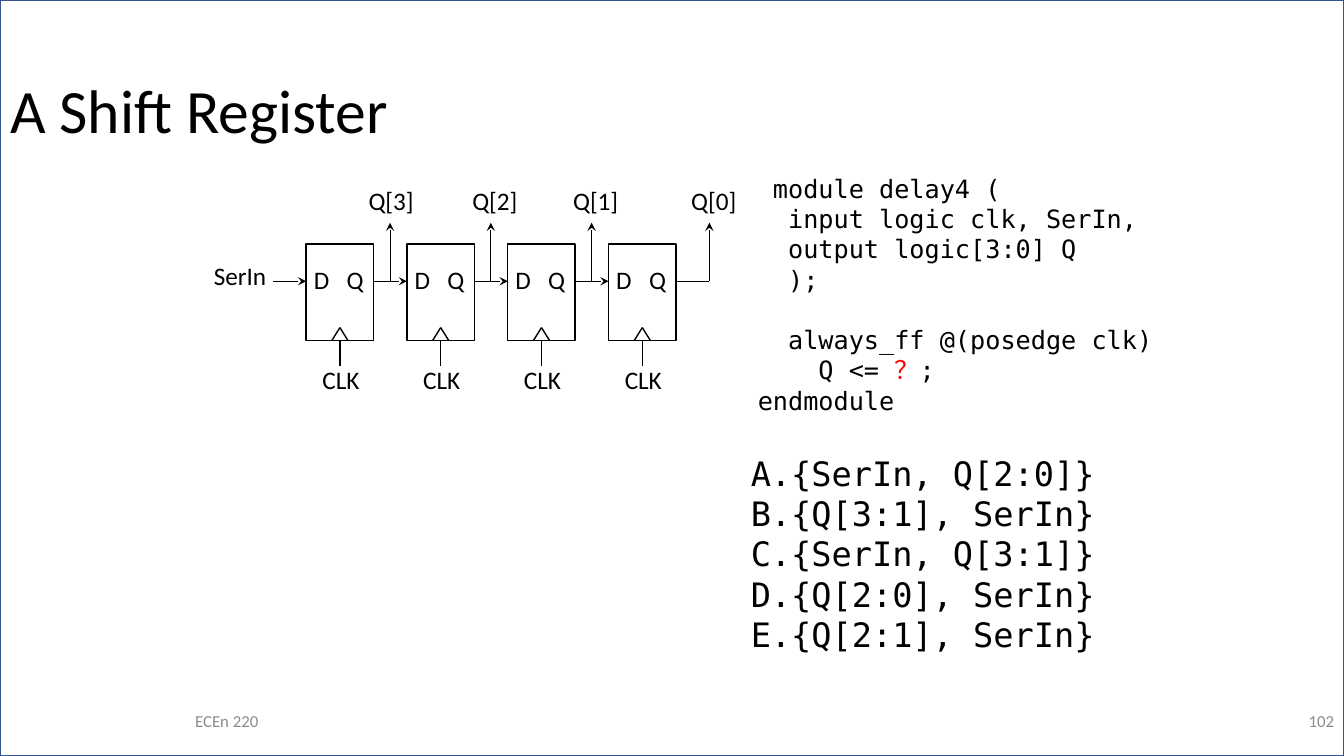
import dataclasses

import lxml.etree
import pptx
import pptx.dml.color
import pptx.enum.shapes
import pptx.enum.text
import pptx.oxml.ns
import pptx.util

Pt = pptx.util.Pt
Align = pptx.enum.text.PP_ALIGN
Anchor = pptx.enum.text.MSO_ANCHOR
qn = pptx.oxml.ns.qn


@dataclasses.dataclass(frozen=True)
class Theme:
    ink: str = "000000"
    paper: str = "FFFFFF"
    muted: str = "8C8C8C"
    accent: str = "FF0000"
    border: str = "325491"
    sans: str = "Calibri"
    mono: str = "DejaVu Sans Mono"
    title: float = 44
    choice: float = 24
    body: float = 18
    footer: float = 12
    outline: float = 1
    arrow: float = 0.75


THEME = Theme()

# Flip-flop geometry, in points
FLOP_LEFT, FLOP_TOP, FLOP_WIDTH, FLOP_HEIGHT = 218.7, 174.2, 48.2, 69.1
FLOP_PITCH = 72
FLOP_BOTTOM = FLOP_TOP + FLOP_HEIGHT
WIRE_GAP = FLOP_PITCH - FLOP_WIDTH
WIRE_Y = 200.9
TAP_TOP = 159.1
CODE_LINE = 21.6

# Output name, x of its tap, left edge of its label
OUTPUTS = [("Q[3]", 278.6, 254.9), ("Q[2]", 350.6, 329),
           ("Q[1]", 422.6, 401), ("Q[0]", 506.7, 485.3)]

CODE = [
    [(" module delay4 (", THEME.ink)],
    [("  input logic clk, SerIn,", THEME.ink)],
    [("  output logic[3:0] Q", THEME.ink)],
    [("  );", THEME.ink)],
    [("  always_ff @(posedge clk)", THEME.ink)],
    [("    Q <= ", THEME.ink), ("？", THEME.accent), (";", THEME.ink)],
    [("endmodule", THEME.ink)],
]

CHOICES = ["{SerIn, Q[2:0]}", "{Q[3:1], SerIn}", "{SerIn, Q[3:1]}",
           "{Q[2:0], SerIn}", "{Q[2:1], SerIn}"]


def rgb(value):
    return pptx.dml.color.RGBColor.from_string(value)


def add_span(para, text, size, font=THEME.sans, color=THEME.ink):
    span = para.add_run()
    span.text = text
    span.font.name = font
    span.font.size = Pt(size)
    span.font.color.rgb = rgb(color)


def add_box(page, left, top, width, height, wrap=False):
    box = page.shapes.add_textbox(Pt(left), Pt(top), Pt(width), Pt(height))
    box.text_frame.word_wrap = wrap
    return box.text_frame


def next_para(frame, index):
    return frame.add_paragraph() if index else frame.paragraphs[0]


def add_label(page, text, left, top, width, align=Align.CENTER):
    para = add_box(page, left, top, width, 28.8).paragraphs[0]
    para.alignment = align
    add_span(para, text, THEME.body)


def add_footer(page, text, left, width, align):
    frame = add_box(page, left, 500.4, width, 28.8, wrap=True)
    frame.vertical_anchor = Anchor.MIDDLE
    frame.paragraphs[0].alignment = align
    add_span(frame.paragraphs[0], text, THEME.footer, color=THEME.muted)


def add_rectangle(page, left, top, width, height, line, fill=None):
    box = page.shapes.add_shape(pptx.enum.shapes.MSO_SHAPE.RECTANGLE,
                                Pt(left), Pt(top), Pt(width), Pt(height))
    box.shadow.inherit = False
    box.line.color.rgb = rgb(line)
    box.line.width = Pt(THEME.outline)
    if fill:
        box.fill.solid()
        box.fill.fore_color.rgb = rgb(fill)
    else:
        box.fill.background()
    return box


def add_wire(page, start, end, arrow=False):
    wire = page.shapes.add_connector(pptx.enum.shapes.MSO_CONNECTOR.STRAIGHT,
                                     *(Pt(value) for value in start + end))
    wire.line.color.rgb = rgb(THEME.ink)
    wire.line.width = Pt(THEME.arrow if arrow else THEME.outline)
    if arrow:
        lxml.etree.SubElement(wire.line._get_or_add_ln(), qn("a:tailEnd"),
                              type="stealth")
    lxml.etree.SubElement(wire._element.spPr, qn("a:effectLst"))
    return wire


def add_flop(page, left):
    center, right = left + FLOP_WIDTH / 2, left + FLOP_WIDTH
    box = add_rectangle(page, left, FLOP_TOP, FLOP_WIDTH, FLOP_HEIGHT,
                        THEME.ink, THEME.paper)
    # Pin names, set apart by a tab stop
    frame = box.text_frame
    frame.word_wrap = True
    frame.vertical_anchor = Anchor.TOP
    frame.margin_left, frame.margin_right = Pt(5.5), 0
    frame.margin_top = Pt(14.6)
    para = frame.paragraphs[0]
    para.alignment = Align.LEFT
    tabs = lxml.etree.SubElement(para._p.get_or_add_pPr(), qn("a:tabLst"))
    lxml.etree.SubElement(tabs, qn("a:tab"), pos=str(Pt(23.4)), algn="l")
    add_span(para, "D\tQ", THEME.body)
    # Clock wedge and clock wire
    for side in (-5.8, 5.8):
        add_wire(page, (center, 234), (center + side, FLOP_BOTTOM))
    clock = add_wire(page, (center, FLOP_BOTTOM), (center, 261.4))
    clock.begin_connect(box, 2)
    add_label(page, "CLK", center - 20.2, 257, 41.8)
    # Data input and output wires
    add_wire(page, (left - WIRE_GAP, WIRE_Y), (left, WIRE_Y), arrow=True)
    return right


def add_register(page):
    add_label(page, "SerIn", 144.7, 182.2, 52.6, Align.RIGHT)
    for index in range(len(OUTPUTS)):
        right = add_flop(page, FLOP_LEFT + index * FLOP_PITCH)
    add_wire(page, (right, WIRE_Y), (right + WIRE_GAP, WIRE_Y))
    for name, tap, label_left in OUTPUTS:
        add_wire(page, (tap, WIRE_Y), (tap, TAP_TOP), arrow=True)
        add_label(page, name, label_left, 128.9, 49)


def add_code(page):
    frame = add_box(page, 534.2, 120.2, 296.6, 181.4)
    for index, spans in enumerate(CODE):
        para = next_para(frame, index)
        if "always_ff" in spans[0][0]:
            para.space_before = Pt(CODE_LINE)
        for text, color in spans:
            add_span(para, text, THEME.body, THEME.mono, color)


def add_choices(page):
    frame = add_box(page, 529.2, 319.7, 300.2, 181.4, wrap=True)
    for index, choice in enumerate(CHOICES):
        para = next_para(frame, index)
        props = para._p.get_or_add_pPr()
        props.set("marL", str(Pt(27)))
        props.set("indent", str(-Pt(27)))
        lxml.etree.SubElement(props, qn("a:buFont"), typeface=THEME.mono)
        lxml.etree.SubElement(props, qn("a:buAutoNum"), type="alphaUcPeriod")
        add_span(para, choice, THEME.choice, THEME.mono)


def set_title(page, text):
    title = page.shapes.title
    title.left, title.top, title.width, title.height = (
        Pt(0), Pt(28.8), Pt(828), Pt(104.4))
    frame = title.text_frame
    frame.auto_size = pptx.enum.text.MSO_AUTO_SIZE.NONE
    frame.vertical_anchor = Anchor.MIDDLE
    para = frame.paragraphs[0]
    para.alignment = Align.LEFT
    para.line_spacing = 0.9
    add_span(para, text, THEME.title)


def main():
    deck = pptx.Presentation()
    deck.slide_width, deck.slide_height = Pt(960), Pt(540)
    page = deck.slides.add_slide(deck.slide_layouts.get_by_name("Title Only"))
    # Frame, title and footer
    add_rectangle(page, 0, 0, 960, 540, THEME.border)
    set_title(page, "A Shift Register")
    add_footer(page, "ECEn 220", 0, 324, Align.CENTER)
    add_footer(page, "102", 744, 216, Align.RIGHT)
    # Code, circuit and answers
    add_code(page)
    add_register(page)
    add_choices(page)
    deck.save("out.pptx")


if __name__ == "__main__":
    main()
